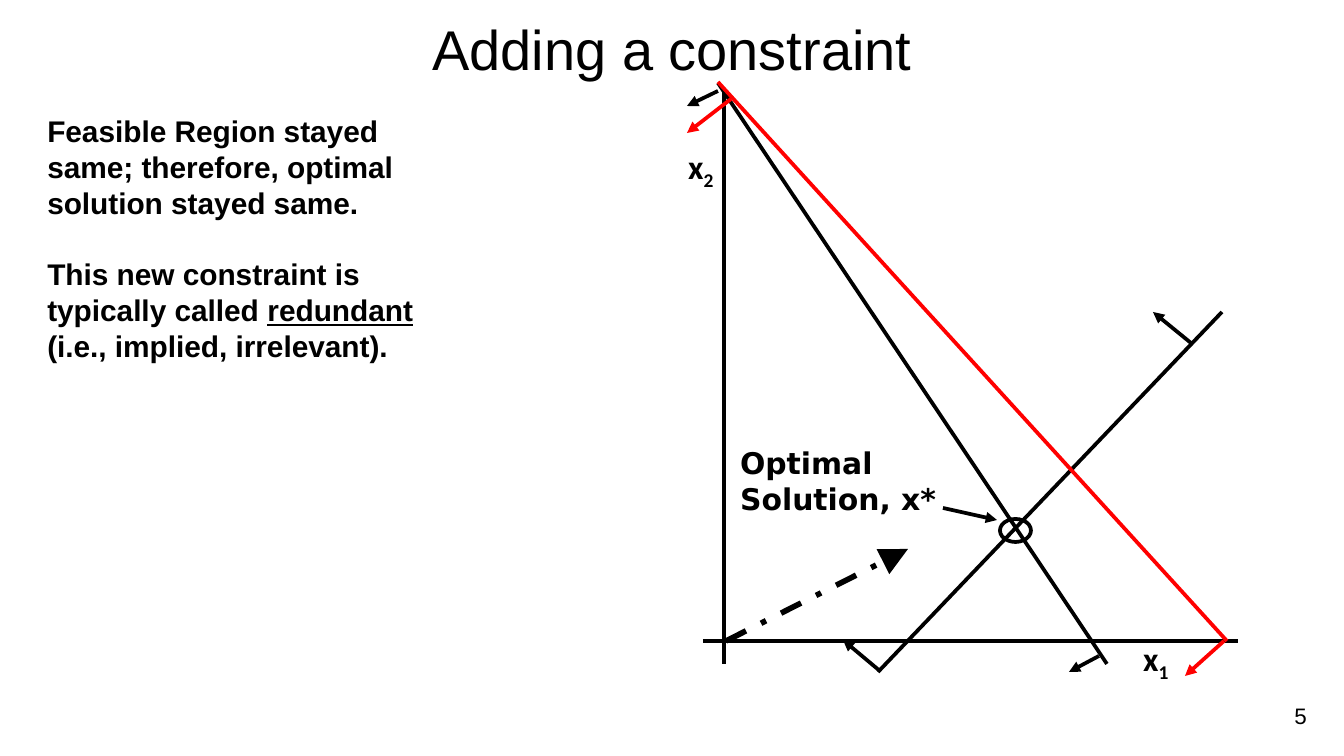
from lxml import etree
from pptx import Presentation
from pptx import util as u
from pptx.dml.color import RGBColor
from pptx.enum import dml, shapes, text
from pptx.oxml.ns import qn

PX = 914400 / 134.4
COLORS = {"ink": "000000", "new": "FF0000"}


def px(*lengths):
    return [u.Emu(round(length * PX)) for length in lengths]


def rgb(name):
    return RGBColor.from_string(COLORS[name])


def add_text(paragraph, words, size=16, font="Arial", bold=True,
             underline=None, baseline=None):
    for index, line in enumerate(words.split("\n")):
        if index:
            paragraph.add_line_break()
        run = paragraph.add_run()
        run.text = line
        run.font.size = u.Pt(size)
        run.font.name = font
        run.font.bold = bold
        run.font.underline = underline
        run.font.color.rgb = rgb("ink")
        if baseline:
            run._r.get_or_add_rPr().set("baseline", str(baseline))


class Painter:
    line_width = 2

    def __init__(self, slide):
        self.slide = slide

    def title(self, words, left, top, width, height):
        heading = self.slide.shapes.title
        heading.left, heading.top, heading.width, heading.height = px(left, top, width, height)
        heading.text_frame.vertical_anchor = text.MSO_ANCHOR.MIDDLE
        paragraph = heading.text_frame.paragraphs[0]
        paragraph.alignment = text.PP_ALIGN.CENTER
        add_text(paragraph, words, size=30, bold=False)

    def text_box(self, paragraphs, left, top, width, height, spacing=None,
                 align=text.PP_ALIGN.LEFT, anchor=text.MSO_ANCHOR.TOP):
        """Each paragraph is a list of (words, format) runs."""
        frame = self.slide.shapes.add_textbox(*px(left, top, width, height)).text_frame
        frame.word_wrap = True
        frame.vertical_anchor = anchor
        for index, runs in enumerate(paragraphs):
            paragraph = frame.add_paragraph() if index else frame.paragraphs[0]
            paragraph.alignment = align
            if spacing:
                paragraph.line_spacing = u.Pt(spacing)
                if index:
                    paragraph.space_before = u.Pt(spacing)
            for words, style in runs:
                add_text(paragraph, words, **style)

    def axis_label(self, index, left, top, width, height):
        style = dict(size=18, font="Calibri")
        self.text_box([[("x", style), (index, dict(style, baseline=-25000))]],
                      left, top, width, height)

    def line(self, start, end, color="ink", width=line_width, dash=None, head=None):
        connector = self.slide.shapes.add_connector(
            shapes.MSO_CONNECTOR.STRAIGHT, *px(*start, *end))
        connector.line.color.rgb = rgb(color)
        connector.line.width = u.Pt(width)
        if dash:
            connector.line.dash_style = dash
        if head:
            etree.SubElement(connector.line._get_or_add_ln(), qn("a:tailEnd"),
                             type="triangle", w=head, len=head)
        etree.SubElement(connector._element.spPr, qn("a:effectLst"))

    def arrow(self, start, end, head="med", **style):
        self.line(start, end, head=head, **style)

    def ring(self, left, top, width, height):
        oval = self.slide.shapes.add_shape(
            shapes.MSO_SHAPE.OVAL, *px(left, top, width, height))
        oval.shadow.inherit = False
        oval.fill.background()
        oval.line.color.rgb = rgb("ink")
        oval.line.width = u.Pt(self.line_width)


def main():
    deck = Presentation()
    deck.slide_width, deck.slide_height = px(1344, 756)
    painter = Painter(deck.slides.add_slide(deck.slide_layouts[5]))

    # Title, explanation and page number
    painter.title("Adding a constraint", 67, 9, 1210, 79)
    painter.text_box([
        [("Feasible Region stayed same; therefore, optimal solution stayed same.", {})],
        [("This new constraint is typically called ", {}),
         ("redundant", dict(underline=True)),
         (" (i.e., implied, irrelevant).", {})],
    ], 34, 106, 419, 267, spacing=19.2)
    painter.text_box([[("5", dict(size=12, bold=False))]], 1007, 696, 313, 40,
                     align=text.PP_ALIGN.RIGHT, anchor=text.MSO_ANCHOR.MIDDLE)

    # Axes
    painter.line((724, 91), (724, 664))
    painter.line((703, 641), (1238, 641))
    painter.axis_label("2", 675, 139, 58, 54)
    painter.axis_label("1", 1130, 631, 60, 36)

    # Falling constraint with its feasible side
    painter.line((718, 83), (1107, 664))
    painter.arrow((1099, 656), (1069, 672))
    painter.arrow((718, 91), (687, 106))

    # Rising constraint with its feasible side
    painter.line((878, 672), (1222, 312))
    painter.arrow((1191, 343), (1153, 312))
    painter.arrow((880, 671), (843, 640))

    # Objective direction
    painter.arrow((726, 641), (908, 549), head="lg", width=3,
                  dash=dml.MSO_LINE.DASH_DOT)

    # Optimal solution
    painter.ring(1000, 519, 31, 23)
    painter.arrow((943, 508), (997, 520))
    painter.text_box([[("Optimal\nSolution, x*", dict(font="DejaVu Sans"))]],
                     727, 438, 242, 86, spacing=19.2)

    # New redundant constraint with its feasible side
    painter.line((1227, 641), (718, 82), color="new")
    painter.arrow((731, 99), (687, 133), color="new")
    painter.arrow((1224, 641), (1185, 676), color="new")

    deck.save("out.pptx")


if __name__ == "__main__":
    main()
